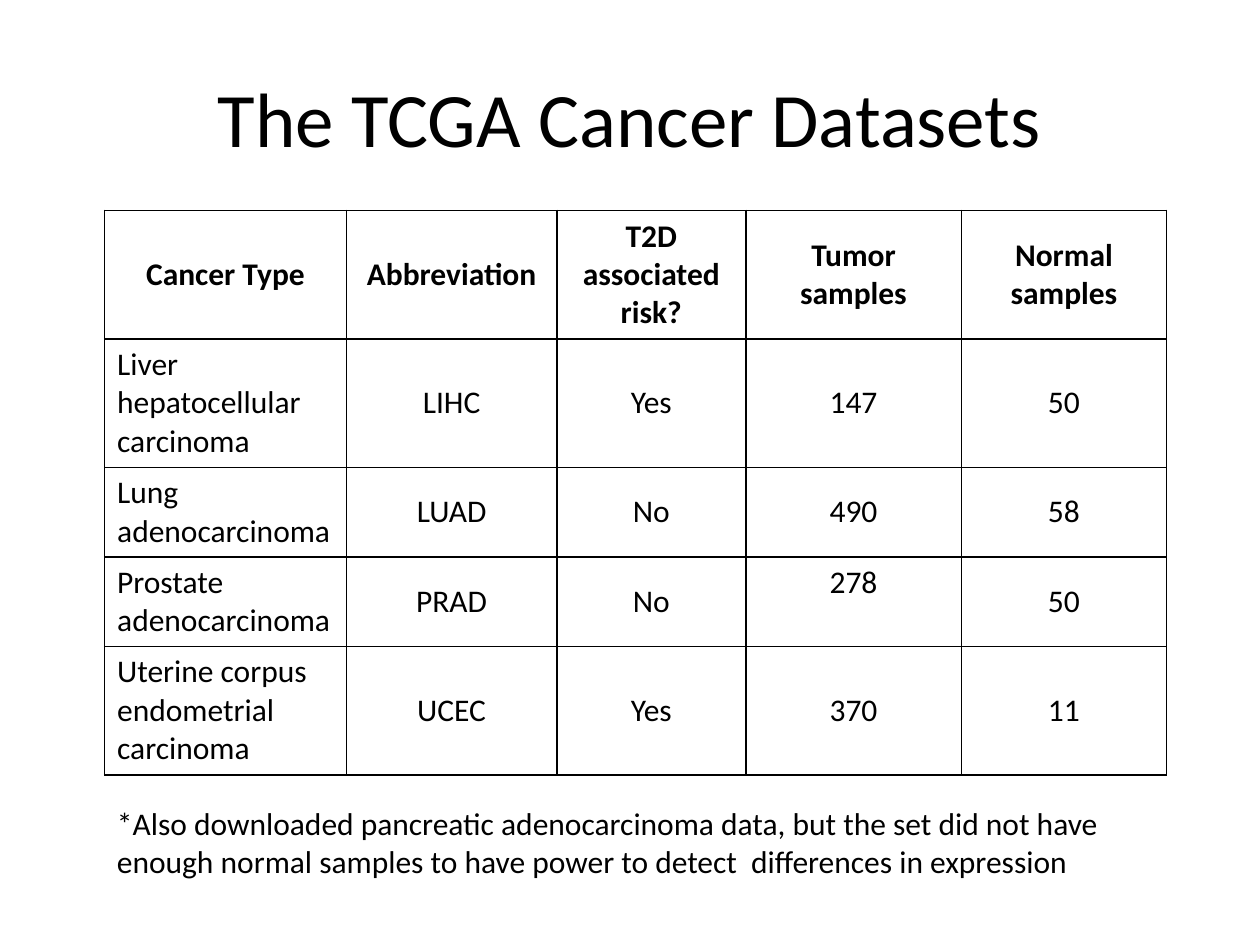
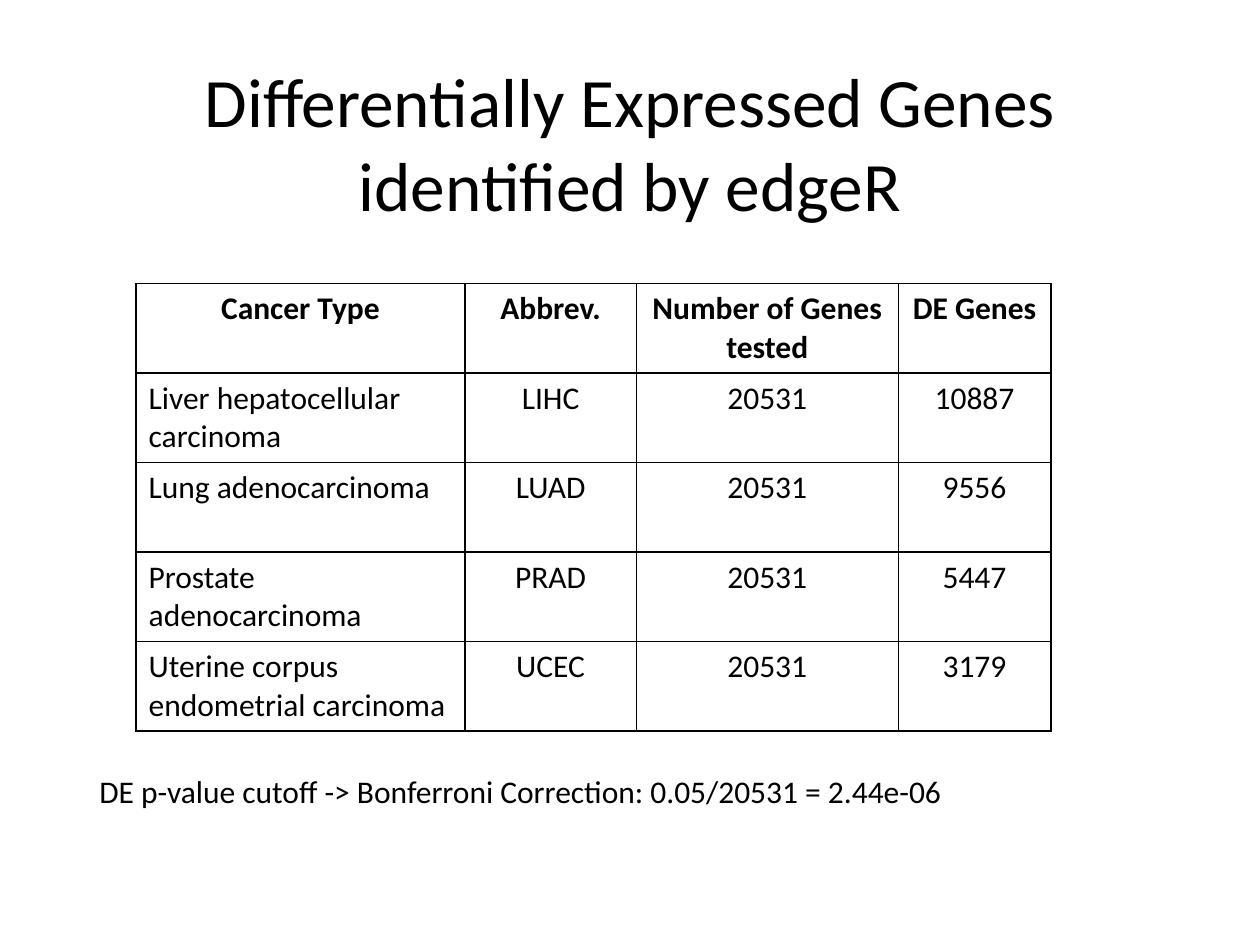
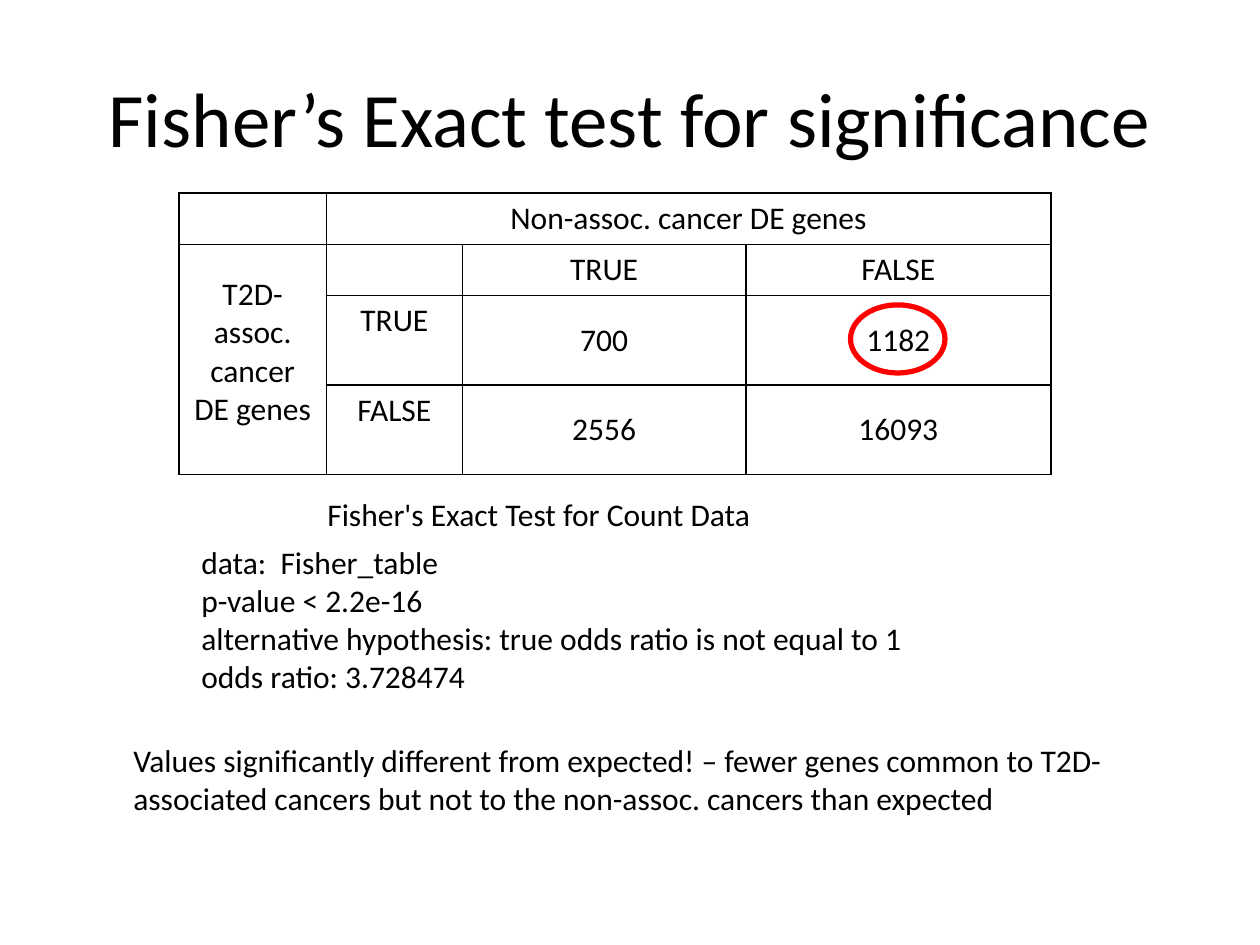
"""Builds three slides on cancer datasets, differentially expressed genes and a Fisher test."""
from lxml import etree
from pptx import Presentation
from pptx.dml.color import RGBColor
from pptx.enum.shapes import MSO_SHAPE
from pptx.enum.text import MSO_ANCHOR as ANCHOR, PP_ALIGN as ALIGN
from pptx.oxml import parse_xml
from pptx.oxml.ns import nsdecls
from pptx.util import Inches, Pt

BLACK, RED = "000000", "FF0000"
BODY_SIZE = 18
BORDER = (
    '<a:{side} {ns} w="12700"><a:solidFill><a:srgbClr val="{color}"/></a:solidFill></a:{side}>'
)


def format_text(frame, lines, size=BODY_SIZE, align=ALIGN.LEFT, bold=False):
    """Fill a text frame with one paragraph per line."""
    frame.word_wrap = True
    frame.text = "\n".join(lines)
    font_format = {"name": "Calibri", "size": Pt(size), "bold": bold}
    for paragraph in frame.paragraphs:
        paragraph.alignment = align
        for name, value in font_format.items():
            setattr(paragraph.font, name, value)
        paragraph.font.color.rgb = RGBColor.from_string(BLACK)


def add_grid(slide, left, top, widths, heights, rows, header=True, anchor=ANCHOR.MIDDLE):
    """Add a bordered table whose first column is left aligned below a bold header."""
    frame = slide.shapes.add_table(
        len(rows), len(widths), Inches(left), Inches(top),
        Inches(sum(widths)), Inches(sum(heights)),
    )
    table = frame.table
    table.first_row = table.horz_banding = False
    for column, width in zip(table.columns, widths):
        column.width = Inches(width)
    for row, height in zip(table.rows, heights):
        row.height = Inches(height)
    for row_index, row in enumerate(rows):
        for column_index, text in enumerate(row):
            cell = table.cell(row_index, column_index)
            is_name = header and row_index > 0 and column_index == 0
            format_text(
                cell.text_frame, [text], align=ALIGN.LEFT if is_name else ALIGN.CENTER,
                bold=header and row_index == 0,
            )
            cell.vertical_anchor = ANCHOR.TOP if is_name else anchor
            properties = cell._tc.get_or_add_tcPr()
            for side in ("lnL", "lnR", "lnT", "lnB"):
                properties.append(
                    parse_xml(BORDER.format(side=side, ns=nsdecls("a"), color=BLACK))
                )
            cell.fill.background()
    return table


presentation = Presentation()
presentation.slide_width, presentation.slide_height = Inches(10), Inches(7.5)

titles = [
    ("The TCGA Cancer Datasets", 0.3, 44),
    ("Differentially Expressed Genes identified by edgeR", 0.5, 39.6),
    ("Fisher’s Exact test for significance", 0.3, 44),
]
for title_text, top, size in titles:
    slide = presentation.slides.add_slide(presentation.slide_layouts[5])
    title = slide.shapes.title
    title.left, title.top, title.width, title.height = map(Inches, (0.5, top, 9, 1.25))
    format_text(title.text_frame, [title_text], size, ALIGN.CENTER)
    title.text_frame.vertical_anchor = ANCHOR.MIDDLE
datasets_slide, genes_slide, fisher_slide = presentation.slides

cancers = [
    ("Liver hepatocellular carcinoma", "LIHC"),
    ("Lung adenocarcinoma", "LUAD"),
    ("Prostate adenocarcinoma", "PRAD"),
    ("Uterine corpus endometrial carcinoma", "UCEC"),
]
samples = [("Yes", "147", "50"), ("No", "490", "58"), ("No", "278", "50"), ("Yes", "370", "11")]
dataset_rows = [
    ("Cancer Type", "Abbreviation", "T2D associated risk?", "Tumor samples", "Normal samples")
]
dataset_rows += [cancer + counts for cancer, counts in zip(cancers, samples)]
datasets_table = add_grid(
    datasets_slide, 0.83, 1.67, [1.92, 1.67, 1.5, 1.71, 1.63],
    [1.02, 1.02, 0.71, 0.71, 1.02], dataset_rows,
)
datasets_table.cell(3, 3).vertical_anchor = ANCHOR.TOP

gene_rows = [("Cancer Type", "Abbrev.", "Number of Genes tested", "DE Genes")]
gene_rows += [
    cancer + ("20531", count)
    for cancer, count in zip(cancers, ("10887", "9556", "5447", "3179"))
]
add_grid(
    genes_slide, 1.08, 2.25, [2.61, 1.36, 2.08, 1.21], [0.71] * 5, gene_rows, anchor=ANCHOR.TOP
)

fisher_rows = [
    ("", "Non-assoc. cancer DE genes", "", ""),
    ("T2D-assoc. cancer DE genes", "", "TRUE", "FALSE"),
    ("", "TRUE", "700", "1182"),
    ("", "FALSE", "2556", "16093"),
]
fisher_table = add_grid(
    fisher_slide, 1.42, 1.53, [1.17, 1.08, 2.25, 2.42], [0.41, 0.4, 0.71, 0.71],
    fisher_rows, header=False,
)
fisher_table.cell(0, 1).merge(fisher_table.cell(0, 3))
group_cell = fisher_table.cell(1, 0)
group_cell.merge(fisher_table.cell(3, 0))
group_cell.vertical_anchor = ANCHOR.BOTTOM
group_cell.margin_bottom = Inches(0.36)
for row_index in (2, 3):
    fisher_table.cell(row_index, 1).vertical_anchor = ANCHOR.TOP

test_output = [
    "Fisher's Exact Test for Count Data",
    "data:  Fisher_table",
    "p-value < 2.2e-16",
    "alternative hypothesis: true odds ratio is not equal to 1",
    "odds ratio: 3.728474",
]
notes = [
    (datasets_slide, (0.83, 6.33, 8.5, 0.71), [
        "*Also downloaded pancreatic adenocarcinoma data, but the set did not have enough "
        "normal samples to have power to detect  differences in expression"
    ]),
    (genes_slide, (0.69, 6.08, 8.5, 0.4), [
        "DE p-value cutoff -> Bonferroni Correction: 0.05/20531 = 2.44e-06"
    ]),
    (fisher_slide, (1.5, 3.88, 6.83, 1.7), test_output),
    (fisher_slide, (0.96, 5.83, 8.08, 0.71), [
        "Values significantly different from expected! – fewer genes common to "
        "T2D-associated cancers but not to the non-assoc. cancers than expected"
    ]),
]
for slide, position, lines in notes:
    frame = slide.shapes.add_textbox(*map(Inches, position)).text_frame
    format_text(frame, lines)
    if lines is test_output:
        heading = frame.paragraphs[0]
        heading.space_after = Pt(6)
        heading._p.get_or_add_pPr().set("marL", str(Inches(1)))

highlight = fisher_slide.shapes.add_shape(
    MSO_SHAPE.OVAL, *map(Inches, (6.75, 2.42, 0.75, 0.54))
)
highlight.shadow.inherit = False
highlight.fill.background()
highlight.line.color.rgb = RGBColor.from_string(RED)
highlight.line.width = Pt(3)

presentation.save("out.pptx")
